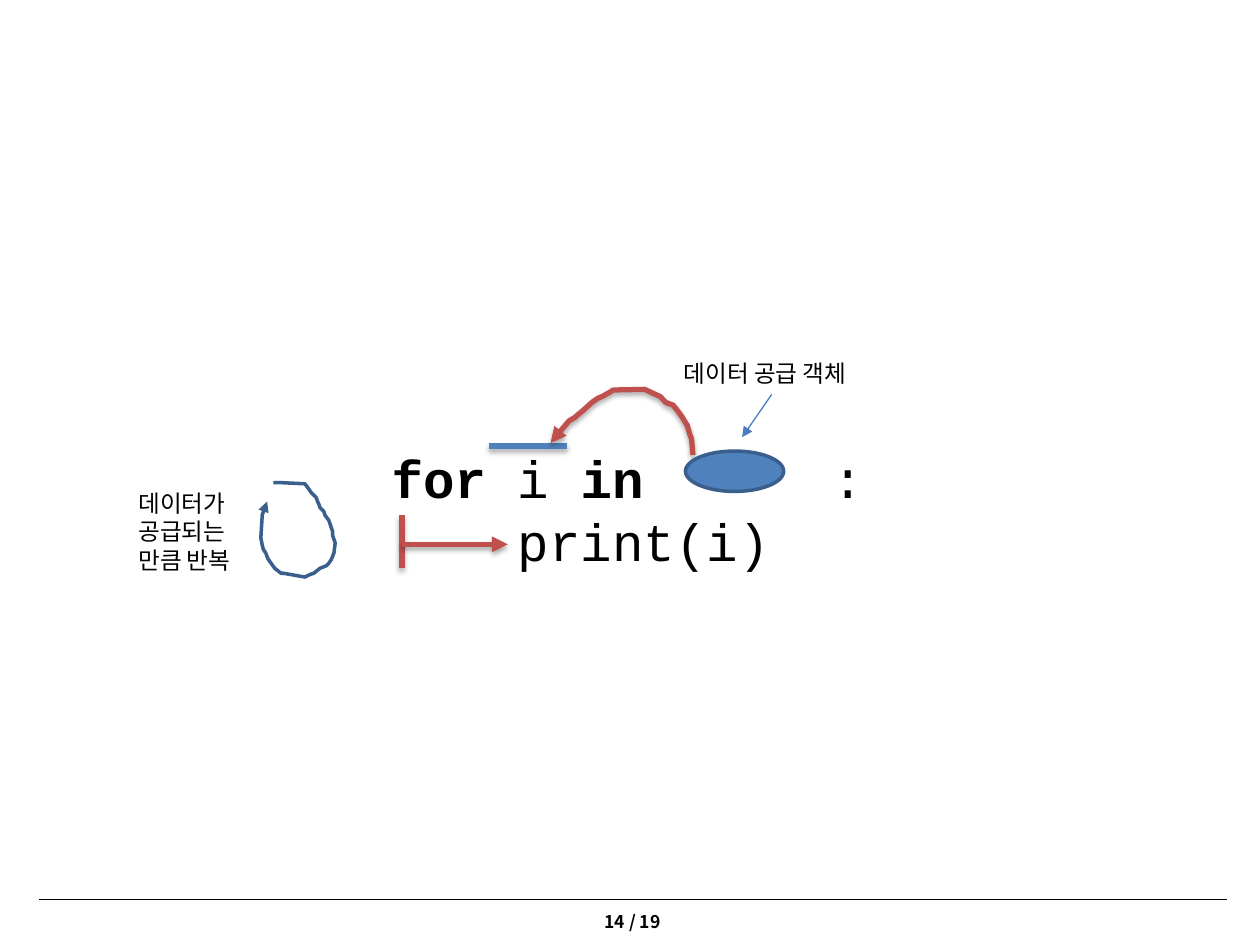
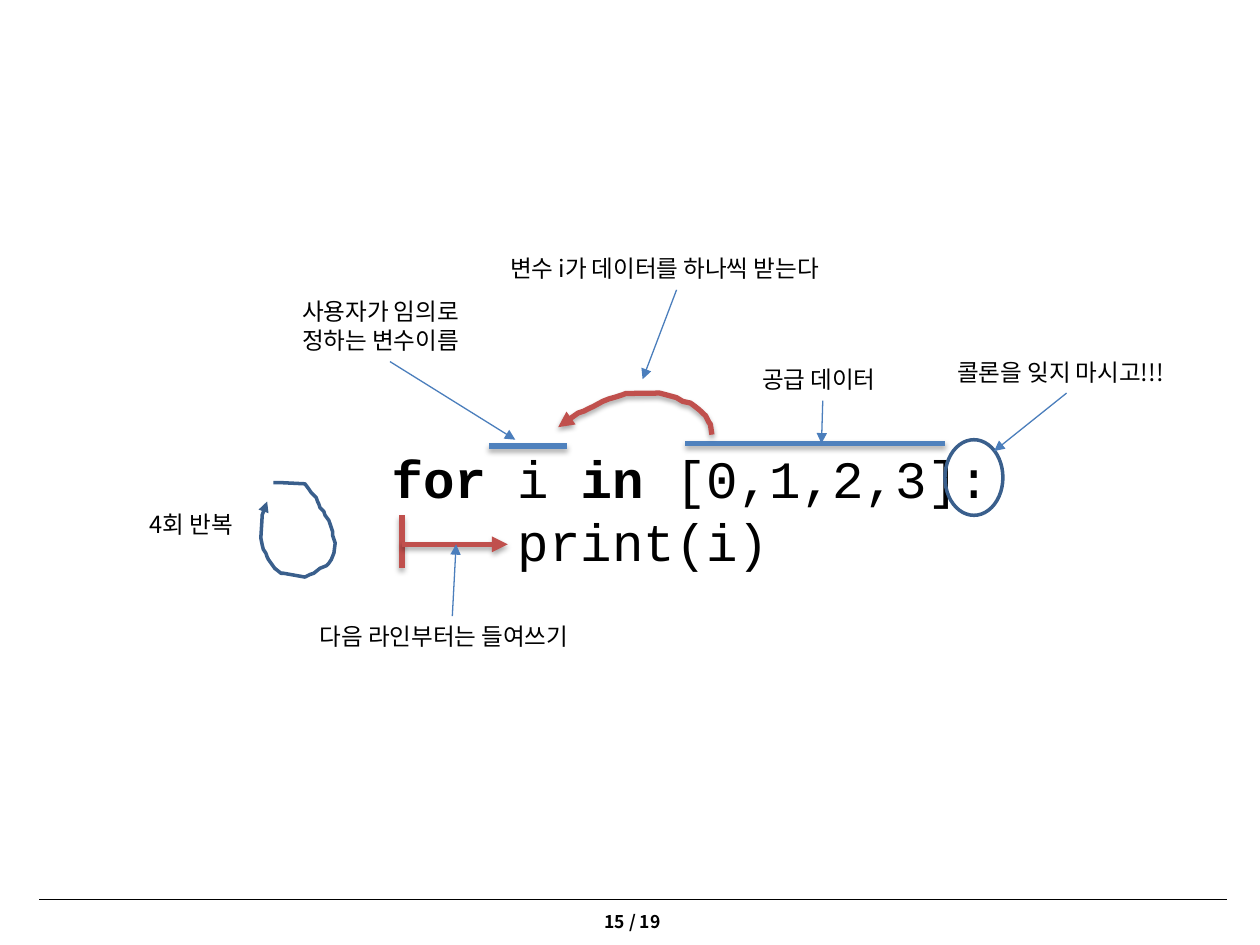
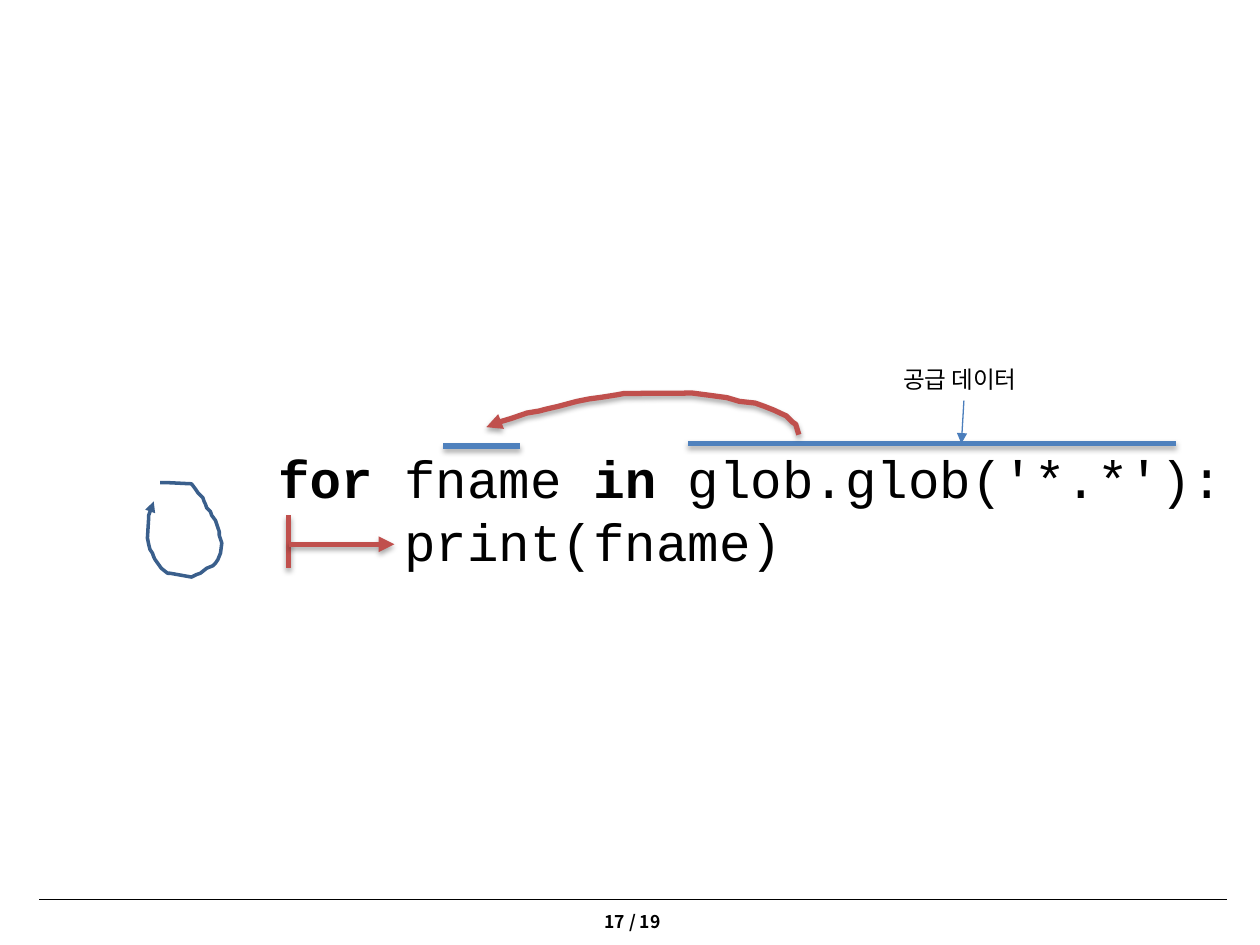
"""Build three slides that explain the parts of a Python for loop."""
from dataclasses import dataclass

from lxml.etree import SubElement
from pptx import Presentation
from pptx.dml.color import RGBColor
from pptx.enum.shapes import MSO_CONNECTOR as Connector, MSO_SHAPE as Preset
from pptx.enum.text import MSO_AUTO_SIZE as AutoSize, PP_ALIGN as Align
from pptx.oxml.ns import qn
from pptx.util import Inches, Pt


@dataclass(frozen=True)
class Theme:
    """Colours, fonts and sizes of the deck."""
    ink: str = "000000"
    blue: str = "4F81BD"
    pointer: str = "4B7EBC"
    navy: str = "3A5F8C"
    red: str = "C0504D"
    code_font: str = "Courier New"
    text_font: str = "Noto Sans CJK KR"
    code_size: float = 30
    label_size: float = 13.5
    footer_size: float = 10
    rule: float = 0.5
    thin: float = 0.75
    outline: float = 2
    thick: float = 3


KEYWORDS = ("for", "in")
TOP, BOTTOM = 0, 2
PAGE_TOTAL = 19

# Percent of the arc's width and height, from data to variable
ARC = [
    (100, 100), (99, 75), (98, 70), (96, 55), (94, 48), (92, 41), (89, 32), (86, 24),
    (81, 20), (77, 11), (71, 5), (66, 0), (44, 1), (42, 4), (37, 10), (33, 14),
    (29, 20), (23, 32), (19, 39), (17, 43), (13, 48), (8, 61), (4, 70), (2, 78), (0, 82),
]
# Hundredths of an inch from the loop's corner
LOOP = [
    (10, 0), (15, 0), (35, 1), (38, 5), (40, 8), (44, 12), (45, 15), (46, 17), (47, 20),
    (50, 23), (51, 26), (54, 30), (57, 39), (57, 42), (59, 48), (58, 56), (56, 61),
    (54, 64), (52, 66), (47, 68), (42, 72), (39, 73), (35, 75), (18, 72), (16, 72),
    (11, 68), (6, 61), (5, 59), (4, 56), (2, 53), (1, 49), (0, 44), (1, 28), (1, 26),
    (4, 18), (5, 15),
]


class LoopDeck:
    """Hold the theme and the current page, and draw each kind of element."""

    def __init__(self, theme):
        """Start an empty deck."""
        self.theme = theme
        self.deck = Presentation()
        self.deck.slide_width, self.deck.slide_height = Inches(10), Inches(7.5)
        self.page = None

    def new_page(self, number):
        """Add a page with the footer rule and page number."""
        theme = self.theme
        self.page = self.deck.slides.add_slide(self.deck.slide_layouts[6])
        self.line((0.31, 7.14), (9.74, 7.14), theme.ink, theme.rule)
        box = self.text([[f"{number} / {PAGE_TOTAL}"]], (4.63, 7.18, 0.71, 0.27),
                        {"name": theme.text_font, "size": Pt(theme.footer_size), "bold": True})
        box.text_frame.paragraphs[0].alignment = Align.RIGHT

    def text(self, lines, place, style, wrap=False):
        """Add a text box with one paragraph per line of spans."""
        box = self.page.shapes.add_textbox(*map(Inches, place))
        frame = box.text_frame
        frame.word_wrap = wrap
        frame.auto_size = AutoSize.SHAPE_TO_FIT_TEXT
        for index, spans in enumerate(lines):
            para = frame.add_paragraph() if index else frame.paragraphs[0]
            for words in spans:
                span = para.add_run()
                span.text = words
                values = {"bold": words.strip() in KEYWORDS, **style}
                for name, value in values.items():
                    setattr(span.font, name, value)
                span.font.color.rgb = RGBColor.from_string(self.theme.ink)
                SubElement(span.font._element, qn("a:ea"), typeface=style["name"])
        return box

    def stroke(self, shape, color, width, arrow=False, shadow=False):
        """Format a line, its arrowhead and its shadow."""
        shape.line.color.rgb = RGBColor.from_string(color)
        shape.line.width = Pt(width)
        properties = shape._element.spPr
        if arrow:
            SubElement(properties.find(qn("a:ln")), qn("a:tailEnd"), type="triangle")
        effects = SubElement(properties, qn("a:effectLst"))
        if shadow:
            outer = SubElement(effects, qn("a:outerShdw"), blurRad=str(Pt(3.1)),
                               dist=str(Pt(1.8)), dir="5400000", rotWithShape="0")
            tint = SubElement(outer, qn("a:srgbClr"), val=self.theme.ink)
            SubElement(tint, qn("a:alpha"), val="35000")

    def line(self, start, end, color, width, **effects):
        """Add a straight connector."""
        connector = self.page.shapes.add_connector(
            Connector.STRAIGHT, *map(Inches, (*start, *end)))
        self.stroke(connector, color, width, **effects)
        return connector

    def bar(self, left, right, y):
        """Add a thick bar above a part of the code."""
        self.line((left, y), (right, y), self.theme.blue, self.theme.thick, shadow=True)

    def label(self, lines, place, target=None, side=BOTTOM, wrap=False):
        """Add a label and, given a target, a pointer from its side."""
        theme = self.theme
        style = {"name": theme.text_font, "size": Pt(theme.label_size)}
        box = self.text([[words] for words in lines], place, style, wrap)
        if target:
            left, top, width, height = place
            start = (left + width / 2, top + (height if side == BOTTOM else 0))
            pointer = self.line(start, target, theme.pointer, theme.thin, arrow=True)
            pointer.begin_connect(box, side)

    def freehand(self, points, color, width, **effects):
        """Add an open hand-drawn arrow through points in inches."""
        start, *rest = [(Inches(x), Inches(y)) for x, y in points]
        builder = self.page.shapes.build_freeform(*start)
        builder.add_line_segments(rest, close=False)
        shape = builder.convert_to_shape()
        shape.fill.background()
        self.stroke(shape, color, width, arrow=True, **effects)

    def arc(self, left, top, width, height):
        """Add the red arrow from the data to the variable."""
        points = [(left + width * x / 100, top + height * y / 100) for x, y in ARC]
        self.freehand(points, self.theme.red, self.theme.thick, shadow=True)

    def ellipse(self, place, fill=None):
        """Add an outlined ellipse."""
        shape = self.page.shapes.add_shape(Preset.OVAL, *map(Inches, place))
        if fill:
            shape.fill.solid()
            shape.fill.fore_color.rgb = RGBColor.from_string(fill)
        else:
            shape.fill.background()
        self.stroke(shape, self.theme.navy, self.theme.outline)

    def code(self, lines, left, width):
        """Add the code with its indent arrow and repeat loop."""
        theme = self.theme
        self.text(lines, (left, 3.49, width, 1.11),
                  {"name": theme.code_font, "size": Pt(theme.code_size)})
        edge = left + 0.18
        self.line((edge, 4.09), (edge, 4.51), theme.red, theme.thick, shadow=True)
        self.line((edge, 4.32), (edge + 0.84, 4.32), theme.red, theme.thick,
                  arrow=True, shadow=True)
        points = [(left - 0.94 + x / 100, 3.83 + y / 100) for x, y in LOOP]
        self.freehand(points, theme.navy, theme.outline)


def main():
    """Build and save the deck."""
    show = LoopDeck(Theme())

    show.new_page(14)
    show.code([["for", " i ", "in", "      :"], ["    print(i)"]], 3.01, 3.99)
    show.bar(3.88, 4.5, 3.54)
    show.label(["데이터 공급 객체"], (5.33, 2.8, 1.59, 0.33), (5.89, 3.47))
    show.arc(4.37, 3.09, 1.13, 0.52)
    show.label(["데이터가", "공급되는", "만큼 반복"], (1, 3.83, 0.98, 0.78))
    show.ellipse((5.44, 3.58, 0.78, 0.32), show.theme.blue)

    show.new_page(15)
    show.code([["for", " i ", "in", " [0,1,2,3]:"], ["    print(i)"]], 3.01, 5)
    show.bar(3.88, 4.5, 3.54)
    show.bar(5.44, 7.5, 3.52)
    show.ellipse((7.5, 3.49, 0.46, 0.6))
    show.arc(4.43, 3.12, 1.22, 0.33)
    show.label(["사용자가 임의로", "정하는 변수이름"], (2.3, 2.31, 1.59, 0.56), (4.09, 3.49))
    show.label(["공급 데이터"], (5.95, 2.85, 1.16, 0.33), (6.52, 3.52))
    show.label(["콜론을 잊지 마시고!!!"], (7.5, 2.79, 1.93, 0.33), (7.89, 3.58))
    show.label(["다음 라인부터는 들여쓰기"], (2.44, 4.89, 2.3, 0.33), (3.62, 4.32), TOP)
    show.label(["변수 i가 데이터를 하나씩 받는다"], (3.95, 1.97, 2.84, 0.33), (5.1, 3.01))
    show.label(["4회 반복"], (1.09, 4, 0.9, 0.33), wrap=True)

    show.new_page(17)
    show.code([["for ", "fname ", "in ", "glob.glob('*.*'):"], ["    print(fname)"]], 2.11, 7.78)
    show.bar(3.52, 4.13, 3.54)
    show.bar(5.46, 9.33, 3.52)
    show.label(["공급 데이터"], (7.07, 2.85, 1.16, 0.33), (7.63, 3.52))
    show.arc(3.86, 3.12, 2.48, 0.33)

    show.deck.save("out.pptx")


if __name__ == "__main__":
    main()
